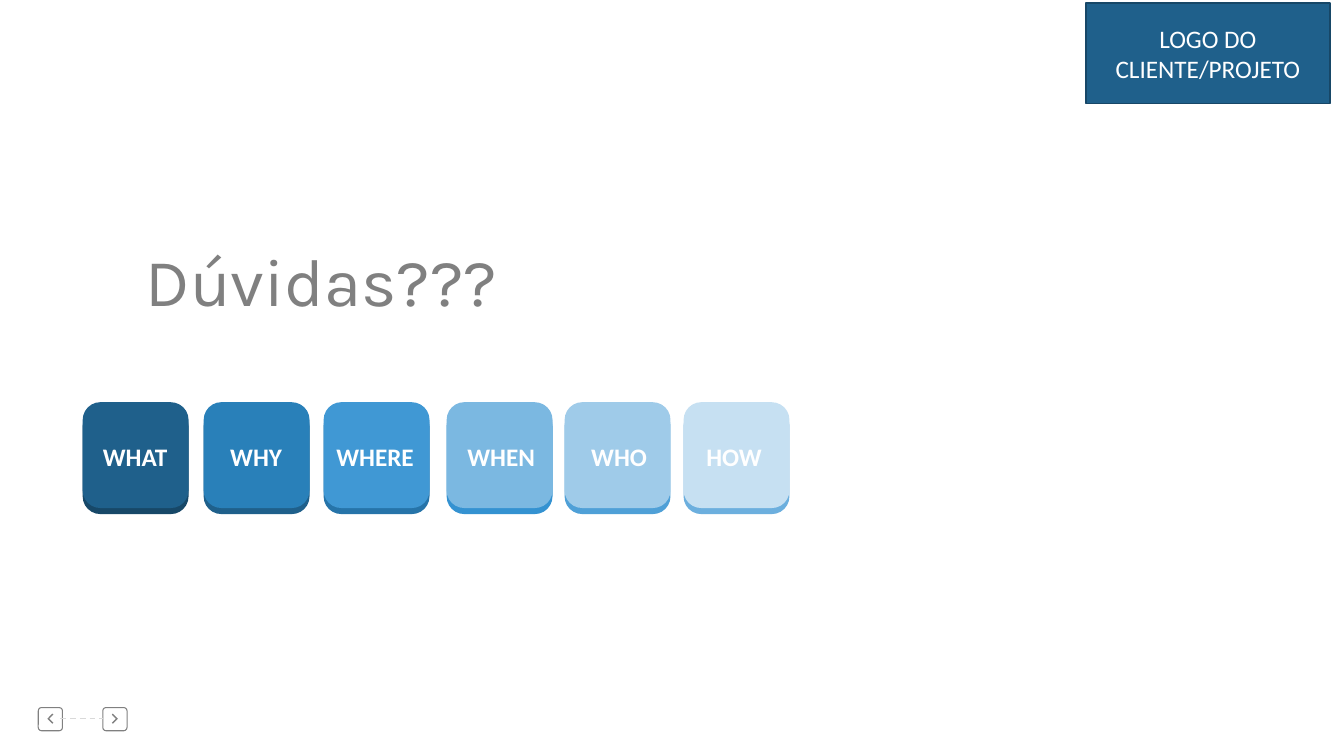
import dataclasses

import lxml.etree
import pptx
import pptx.dml.color
import pptx.enum.dml
import pptx.enum.shapes
import pptx.enum.text
import pptx.oxml.ns
import pptx.util

Inches = pptx.util.Inches
Pt = pptx.util.Pt
SHAPE = pptx.enum.shapes.MSO_SHAPE


@dataclasses.dataclass(frozen=True)
class Theme:
    body_font: str = "Calibri"
    title_font: str = "Karla"
    label_size: int = 18
    title_size: int = 48
    white: str = "FFFFFF"
    gray: str = "808080"
    dash: str = "D9D9D9"
    logo: str = "1F608B"
    logo_border: str = "174767"


TILE_SIZE = 1.05
TILES = [
    ("WHAT", 0.82, 1.34, "1F608B", "174868"),
    ("WHY", 2.02, 2.54, "2980B9", "1F608B"),
    ("WHERE", 3.21, 3.72, "4098D4", "2674A9"),
    ("WHEN", 4.43, 4.97, "7BB8E1", "3492D1"),
    ("WHO", 5.6, 6.14, "9FCBE9", "4FA0D7"),
    ("HOW", 6.78, 7.28, "C6E0F2", "6CAFDE"),
]
CHEVRON = [(0.03, -0.04), (-0.01, 0), (0.03, 0.04), (0.02, 0.05), (-0.03, 0), (0.02, -0.05)]


def rgb(color):
    return pptx.dml.color.RGBColor.from_string(color)


def write(tf, text, *, size, font, color, bold=False):
    p = tf.paragraphs[0]
    p.alignment = pptx.enum.text.PP_ALIGN.CENTER
    r = p.add_run()
    r.text = text
    r.font.size = Pt(size)
    r.font.name = font
    r.font.bold = bold
    r.font.color.rgb = rgb(color)


class Deck:
    """Draws styled elements on the current slide."""

    def __init__(self, theme):
        self.theme = theme
        self.prs = pptx.Presentation()
        self.prs.slide_width = Inches(13.33)
        self.prs.slide_height = Inches(7.5)
        self.s = self.prs.slides.add_slide(self.prs.slide_layouts[6])

    def paint(self, sp, fill=None, line=None, width=1):
        sp.shadow.inherit = False
        if fill:
            sp.fill.solid()
            sp.fill.fore_color.rgb = rgb(fill)
        else:
            sp.fill.background()
        if line:
            sp.line.color.rgb = rgb(line)
            sp.line.width = Pt(width)
        else:
            sp.line.fill.background()

    def box(self, kind, x, y, w, h, **style):
        sp = self.s.shapes.add_shape(kind, Inches(x), Inches(y), Inches(w), Inches(h))
        self.paint(sp, **style)
        return sp

    def label(self, text, center, y, w, h, **style):
        sp = self.s.shapes.add_textbox(Inches(center - w / 2), Inches(y), Inches(w), Inches(h))
        tf = sp.text_frame
        tf.word_wrap = False
        tf.auto_size = pptx.enum.text.MSO_AUTO_SIZE.SHAPE_TO_FIT_TEXT
        write(tf, text, **style)

    def tile(self, text, x, center, face, edge):
        for y, color in ((4.05, edge), (3.99, face)):
            self.box(SHAPE.ROUNDED_RECTANGLE, x, y, TILE_SIZE, TILE_SIZE, fill=color)
        self.label(text, center, 4.33, TILE_SIZE, 0.4, size=self.theme.label_size,
                   font=self.theme.body_font, color=self.theme.white, bold=True)

    def nav_button(self, center, direction):
        y = 7.13
        points = [(Inches(center + direction * dx), Inches(y + dy)) for dx, dy in CHEVRON]
        builder = self.s.shapes.build_freeform(*points[0])
        builder.add_line_segments(points[1:], close=True)
        self.paint(builder.convert_to_shape(), fill=self.theme.gray)
        frame = self.box(SHAPE.ROUNDED_RECTANGLE, center - 0.12, y - 0.11, 0.24, 0.23,
                         line=self.theme.gray, width=0.75)
        frame.adjustments[0] = 0.14

    def dashed_line(self, x1, x2, y):
        c = self.s.shapes.add_connector(pptx.enum.shapes.MSO_CONNECTOR.STRAIGHT,
                                        Inches(x1), Inches(y), Inches(x2), Inches(y))
        c.line.color.rgb = rgb(self.theme.dash)
        c.line.width = Pt(1)
        c.line.dash_style = pptx.enum.dml.MSO_LINE.DASH
        props = c.element.find(pptx.oxml.ns.qn("p:spPr"))
        lxml.etree.SubElement(props, pptx.oxml.ns.qn("a:effectLst"))

    def logo_box(self, text):
        sp = self.box(SHAPE.RECTANGLE, 10.77, 0.03, 2.42, 1,
                      fill=self.theme.logo, line=self.theme.logo_border)
        tf = sp.text_frame
        tf.word_wrap = True
        tf.vertical_anchor = pptx.enum.text.MSO_ANCHOR.MIDDLE
        write(tf, text, size=self.theme.label_size, font=self.theme.body_font,
              color=self.theme.white)


def main():
    theme = Theme()
    deck = Deck(theme)
    deck.nav_button(0.5, 1)
    deck.nav_button(1.14, -1)
    deck.dashed_line(0.6, 1.02, 7.13)
    for tile in TILES:
        deck.tile(*tile)
    deck.label("Dúvidas???", 3.19, 2.32, 3.76, 0.91, size=theme.title_size,
               font=theme.title_font, color=theme.gray)
    deck.logo_box("LOGO DO CLIENTE/PROJETO")
    deck.prs.save("out.pptx")


if __name__ == "__main__":
    main()
